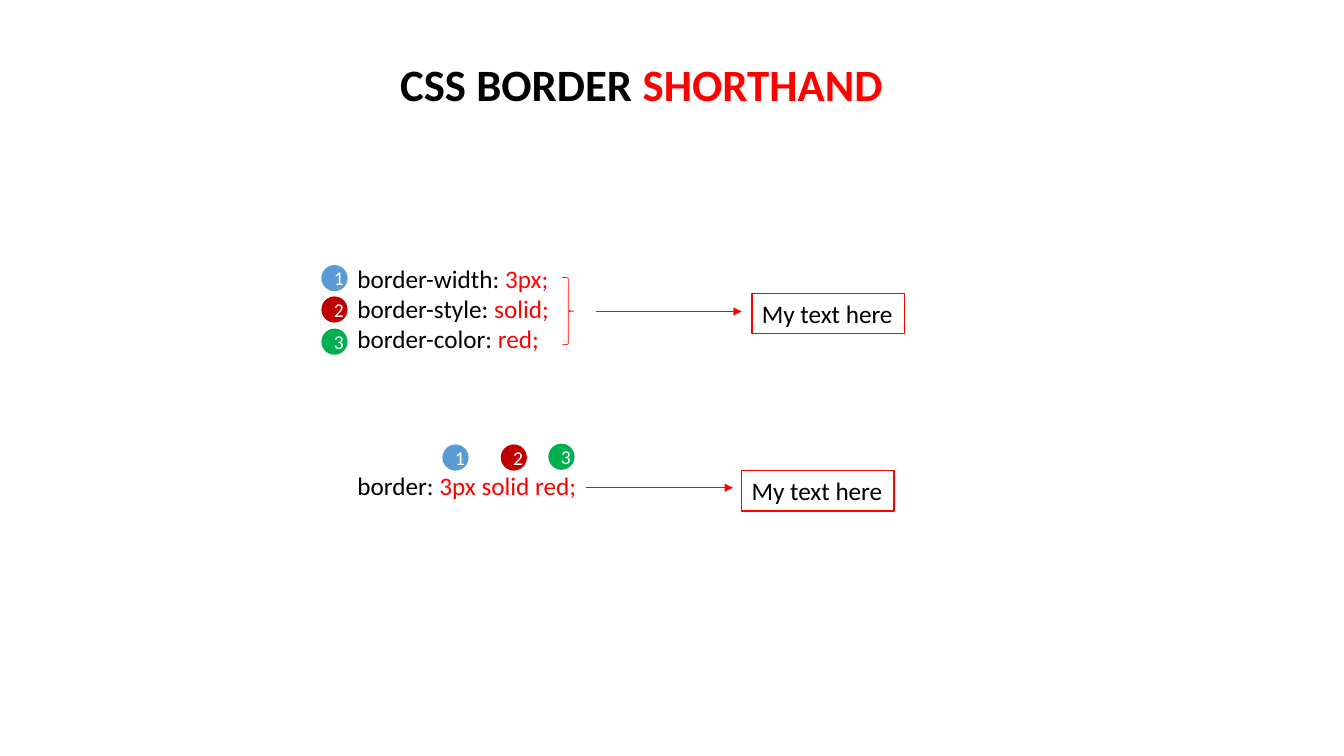
import pptx
import pptx.dml.color
import pptx.enum.shapes
import pptx.enum.text
import pptx.oxml
import pptx.oxml.ns
import pptx.util

Cm = pptx.util.Cm
Pt = pptx.util.Pt
SHAPE = pptx.enum.shapes.MSO_SHAPE
ALIGN = pptx.enum.text.PP_ALIGN
ANCHOR = pptx.enum.text.MSO_ANCHOR

BLACK, RED, WHITE = "000000", "FF0000", "FFFFFF"
TITLE = [("CSS BORDER ", "SHORTHAND")]
LONGHAND = [
    ("border-width: ", "3px;"),
    ("border-style: ", "solid;"),
    ("border-color: ", "red;"),
]
SHORTHAND = [("border: ", "3px solid red;")]
RESULT = [("My text here",)]
BADGE_COLORS = ["5B9BD5", "C00000", "00B050"]
BADGE_SIZE = 0.66
LONGHAND_BADGES = [(8.1, 6.68), (8.1, 7.47), (8.1, 8.28)]
SHORTHAND_BADGES = [(11.15, 11.2), (12.62, 11.2), (13.82, 11.18)]
CODE_LEFT = 8.76
CODE_BLOCKS = [(LONGHAND, 6.5, 5.41, 2.57), (SHORTHAND, 11.73, 6.1, 1.02)]
RESULT_BOXES = [(18.95, 7.39), (18.69, 11.86)]
ARROWS = [(15.01, 18.69, 7.85), (14.76, 18.47, 12.29)]


def rgb(value):
    return pptx.dml.color.RGBColor.from_string(value)


def write_text(shape, lines, size=18, colors=(BLACK, RED), bold=False,
               align=ALIGN.LEFT, anchor=ANCHOR.TOP, wrap=False):
    frame = shape.text_frame
    frame.word_wrap = wrap
    frame.vertical_anchor = anchor
    if not wrap:
        frame.auto_size = pptx.enum.text.MSO_AUTO_SIZE.SHAPE_TO_FIT_TEXT
    for index, line in enumerate(lines):
        paragraph = frame.add_paragraph() if index else frame.paragraphs[0]
        paragraph.alignment = align
        for text, color in zip(line, colors):
            run = paragraph.add_run()
            run.text = text
            run.font.name = "Calibri"
            run.font.size = Pt(size)
            run.font.bold = bold
            run.font.color.rgb = rgb(color)


def add_shape(slide, kind, left, top, width, height, fill=None, line=None, line_width=1):
    shape = slide.shapes.add_shape(kind, Cm(left), Cm(top), Cm(width), Cm(height))
    shape.shadow.inherit = False
    if fill:
        shape.fill.solid()
        shape.fill.fore_color.rgb = rgb(fill)
    else:
        shape.fill.background()
    if line:
        shape.line.color.rgb = rgb(line)
        shape.line.width = Pt(line_width)
    else:
        shape.line.fill.background()
    return shape


def add_arrow(slide, start, end, top):
    arrow = slide.shapes.add_connector(
        pptx.enum.shapes.MSO_CONNECTOR.STRAIGHT, Cm(start), Cm(top), Cm(end), Cm(top))
    arrow.line.color.rgb = rgb(RED)
    arrow.line.width = Pt(0.5)
    head = pptx.oxml.parse_xml(
        f'<a:tailEnd {pptx.oxml.ns.nsdecls("a")} type="triangle"/>')
    arrow.line._get_or_add_ln().append(head)
    properties = arrow._element.spPr
    properties.append(pptx.oxml.parse_xml(f'<a:effectLst {pptx.oxml.ns.nsdecls("a")}/>'))


def main():
    presentation = pptx.Presentation()
    presentation.slide_width = Cm(33.87)
    presentation.slide_height = Cm(19.05)
    slide = presentation.slides.add_slide(presentation.slide_layouts[5])

    title = slide.shapes.title
    title.left, title.top, title.width, title.height = Cm(9.83), Cm(1.3), Cm(12.8), Cm(1.63)
    write_text(title, TITLE, size=32, bold=True)

    for lines, top, width, height in CODE_BLOCKS:
        box = slide.shapes.add_textbox(Cm(CODE_LEFT), Cm(top), Cm(width), Cm(height))
        write_text(box, lines)

    for left, top in RESULT_BOXES:
        box = add_shape(slide, SHAPE.RECTANGLE, left, top, 3.84, 1.02, line=RED)
        write_text(box, RESULT)

    add_shape(slide, SHAPE.RIGHT_BRACE, 14.17, 6.99, 0.3, 1.7, line=RED, line_width=0.5)

    for start, end, top in ARROWS:
        add_arrow(slide, start, end, top)

    for positions in (LONGHAND_BADGES, SHORTHAND_BADGES):
        for number, ((left, top), color) in enumerate(zip(positions, BADGE_COLORS), 1):
            badge = add_shape(slide, SHAPE.OVAL, left, top, BADGE_SIZE, BADGE_SIZE, fill=color)
            write_text(badge, [(str(number),)], size=14, colors=(WHITE,),
                       align=ALIGN.CENTER, anchor=ANCHOR.MIDDLE, wrap=True)

    presentation.save("out.pptx")


if __name__ == "__main__":
    main()
